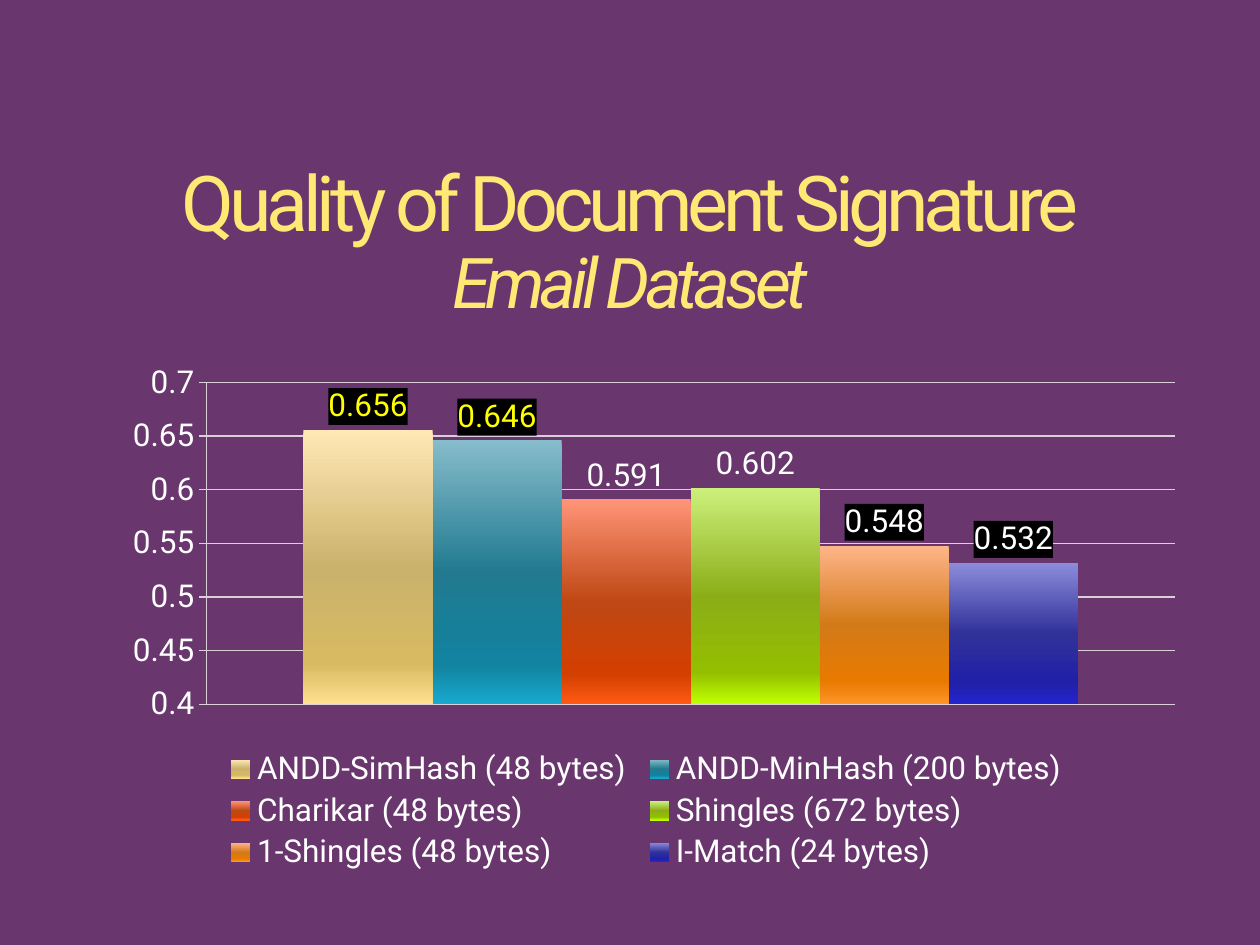
from dataclasses import dataclass

from lxml import etree
from pptx import Presentation
from pptx import util as u
from pptx.chart.data import CategoryChartData
from pptx.dml.color import RGBColor
from pptx.enum import chart as ch, text
from pptx.oxml import parse_xml
from pptx.oxml.ns import nsdecls, qn

FONT = "Roboto"
WHITE, YELLOW, TITLE, GRID = "FFFFFF", "FFFF00", "FFE873", "D9D0DA"


@dataclass
class Bar:
    name: str
    value: float
    shades: tuple[str, str, str, str]  # top to bottom
    label: str = WHITE
    boxed: bool = True


BARS = [
    Bar("ANDD-SimHash (48 bytes)", 0.656, ("FFE8B5", "CBB26C", "D7BA62", "FFE08F"), YELLOW),
    Bar("ANDD-MinHash (200 bytes)", 0.646, ("86BCCB", "217A90", "1283A0", "18A9CF"), YELLOW),
    Bar("Charikar (48 bytes)", 0.591, ("FF9478", "BF4814", "D33F00", "FF5A14"), boxed=False),
    Bar("Shingles (672 bytes)", 0.602, ("CDF07C", "8BAE18", "94BE00", "C0FF00"), boxed=False),
    Bar("1-Shingles (48 bytes)", 0.548, ("FFB58A", "D37A18", "E87A00", "FF9428")),
    Bar("I-Match (24 bytes)", 0.532, ("8C8CDC", "31319A", "2020A8", "2525D0")),
]


def rgb(value: str) -> RGBColor:
    return RGBColor.from_string(value)


def style(font, size: float, color: str) -> None:
    font.name, font.size = FONT, u.Pt(size)
    font.color.rgb = rgb(color)


def add_text(p, content: str, *, size: float, color: str,
             italic: bool = False, spacing: float = 0) -> None:
    r = p.add_run()
    r.text = content
    style(r.font, size, color)
    r.font.italic = italic
    r.font._element.set("spc", str(int(spacing * 100)))


def set_layout(parent, index: int, box: tuple, inner: bool = False) -> None:
    """Place a chart part at fractions (x, y, w, h) of the chart."""
    for old in parent.findall(qn("c:layout")):
        parent.remove(old)
    layout = etree.Element(qn("c:layout"))
    manual = etree.SubElement(layout, qn("c:manualLayout"))
    items = [("layoutTarget", "inner")] if inner else []
    items += [("xMode", "edge"), ("yMode", "edge"), *zip("xywh", box)]
    for tag, value in items:
        etree.SubElement(manual, qn(f"c:{tag}")).set("val", str(value))
    parent.insert(index, layout)


def fill_bar(series, shades: tuple) -> None:
    stops = "".join(f'<a:gs pos="{pos * 1000}"><a:srgbClr val="{shade}"/></a:gs>'
                    for pos, shade in zip((0, 50, 85, 100), shades))
    sp_pr = series.format._element.get_or_add_spPr()
    sp_pr.insert(0, parse_xml(
        f'<a:gradFill {nsdecls("a")} rotWithShape="1"><a:gsLst>{stops}</a:gsLst>'
        '<a:lin ang="5400000" scaled="0"/></a:gradFill>'))
    series.format.line.fill.background()


def label_bar(series, bar: Bar) -> None:
    labels = series.data_labels
    labels.show_value = True
    labels.position = ch.XL_LABEL_POSITION.OUTSIDE_END
    style(labels.font, 18, bar.label)
    if bar.boxed:
        labels._element.find(qn("c:txPr")).addprevious(parse_xml(
            f'<c:spPr {nsdecls("c", "a")}><a:solidFill><a:srgbClr val="000000"/>'
            '</a:solidFill></c:spPr>'))


def add_bar_chart(slide, bars: list[Bar]) -> None:
    data = CategoryChartData()
    data.categories = ["1"]
    for bar in bars:
        data.add_series(bar.name, [bar.value])
    chart = slide.shapes.add_chart(ch.XL_CHART_TYPE.COLUMN_CLUSTERED, u.Cm(1.7), u.Cm(7.19),
                                   u.Cm(22.43), u.Cm(10.46), data).chart
    chart.has_title = False
    style(chart.font, 18, WHITE)
    plot = chart.plots[0]
    plot.gap_width, plot.overlap, plot.vary_by_categories = 150, 0, False
    for series, bar in zip(plot.series, bars):
        fill_bar(series, bar.shades)
        label_bar(series, bar)

    # Axes
    chart.category_axis.visible = False
    axis = chart.value_axis
    axis.minimum_scale, axis.maximum_scale, axis.major_unit = 0.4, 0.7, 0.05
    axis.major_tick_mark = ch.XL_TICK_MARK.OUTSIDE
    axis.tick_labels.number_format = "General"
    axis.tick_labels.number_format_is_linked = False
    axis.has_major_gridlines = True
    for line in (axis.format.line, axis.major_gridlines.format.line):
        line.color.rgb = rgb(GRID)
        line.width = u.Pt(0.75)

    # Legend and plot area
    chart.has_legend = True
    chart.legend.position = ch.XL_LEGEND_POSITION.BOTTOM
    chart.legend.include_in_layout = False
    style(chart.legend.font, 18, WHITE)
    set_layout(chart.legend._element, 1, (0.12, 0.75, 0.77, 0.25))
    set_layout(chart._chartSpace.find(".//" + qn("c:plotArea")), 0,
               (0.11, 0.05, 0.87, 0.62), inner=True)


def add_title(slide) -> None:
    sp = slide.shapes.title
    sp.left, sp.top, sp.width, sp.height = u.Cm(1.07), u.Cm(3.33), u.Cm(23.27), u.Cm(3.23)
    tf = sp.text_frame
    tf.margin_left = tf.margin_right = tf.margin_top = tf.margin_bottom = 0
    tf.word_wrap = True
    tf.auto_size = text.MSO_AUTO_SIZE.SHAPE_TO_FIT_TEXT
    tf.vertical_anchor = text.MSO_ANCHOR.TOP
    p = tf.paragraphs[0]
    p.alignment, p.line_spacing = text.PP_ALIGN.CENTER, 0.9
    add_text(p, "Quality of Document Signature", size=44, color=TITLE, spacing=-3)
    p.add_line_break()
    add_text(p, "Email Dataset", size=40, color=TITLE, italic=True, spacing=-3)


def main() -> None:
    prs = Presentation()
    prs.slide_width, prs.slide_height = u.Cm(25.4), u.Cm(19.05)
    slide = prs.slides.add_slide(prs.slide_layouts[5])
    slide.background.fill.solid()
    slide.background.fill.fore_color.rgb = rgb("6A366E")
    add_title(slide)
    add_bar_chart(slide, BARS)
    prs.save("out.pptx")


if __name__ == "__main__":
    main()
